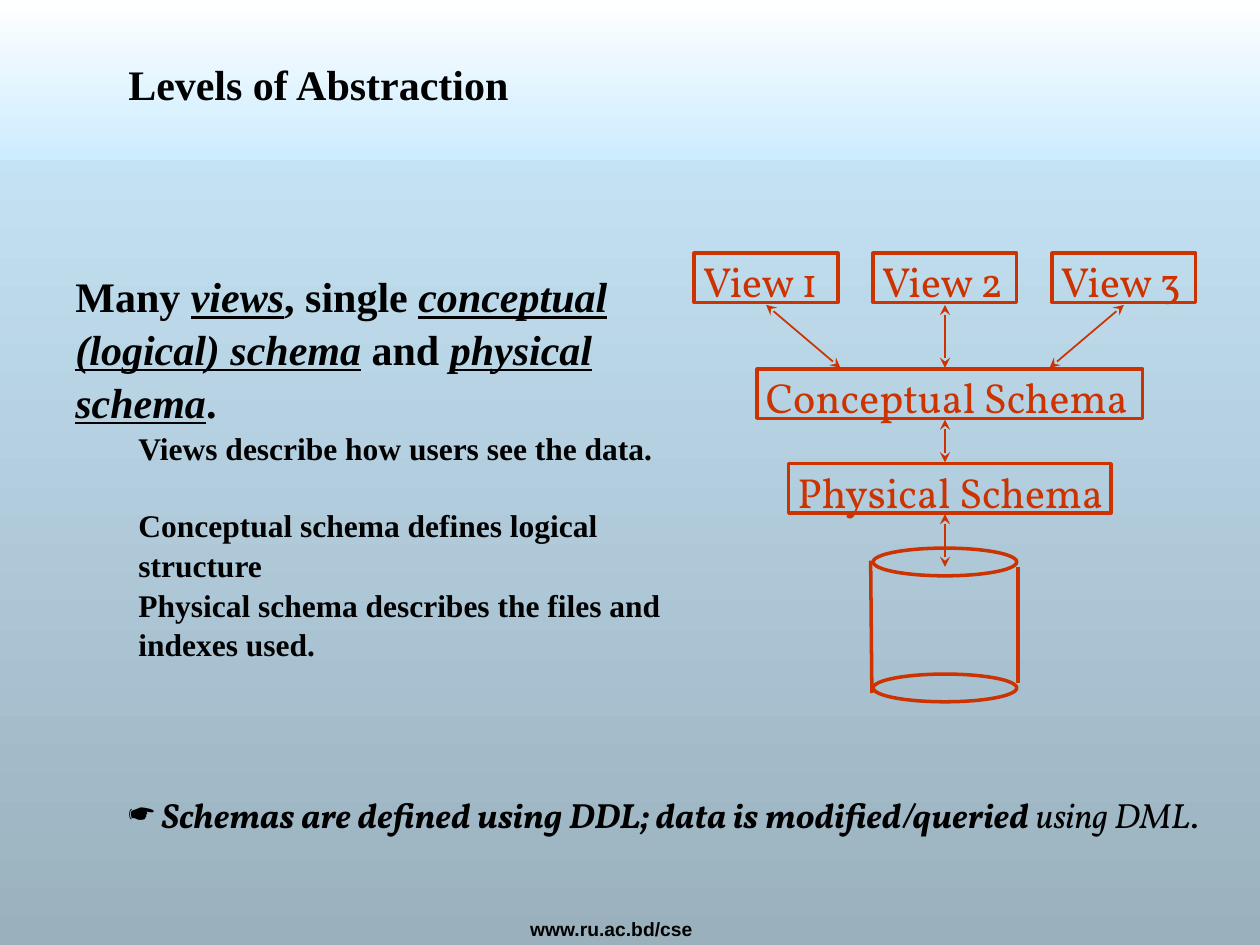
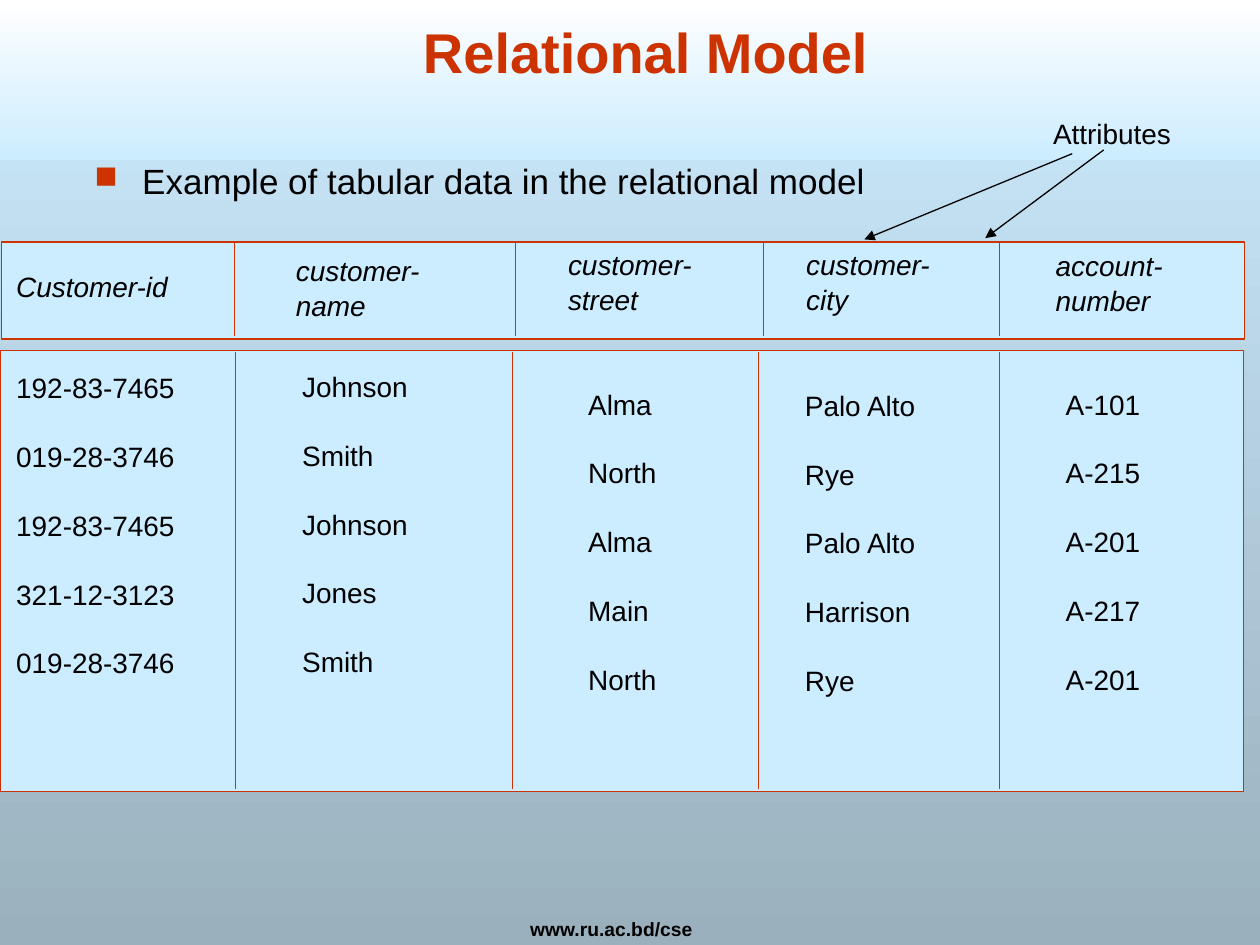
import pptx
import pptx.util
import pptx.dml.color
import pptx.enum.shapes
import pptx.enum.text
import pptx.oxml
import pptx.oxml.ns

Inches, Pt = pptx.util.Inches, pptx.util.Pt
SHAPE = pptx.enum.shapes.MSO_SHAPE
ALIGN = pptx.enum.text.PP_ALIGN
ANCHOR = pptx.enum.text.MSO_ANCHOR

HUE = {"red": "CC3300", "black": "000000", "white": "FFFFFF",
       "sky": "CCECFF", "steel": "9AB0BD"}
SANS, SERIF, BOOK = "Arial", "Times New Roman", "Vollkorn"
SITE = "www.ru.ac.bd/cse"

# Slide 1: text runs are (words, style), where b, i and u switch on a style
LEAD = [("Many ", "b"), ("views", "biu"), (", single ", "b"),
        ("conceptual (logical) schema", "biu"), (" and ", "b"),
        ("physical schema", "biu"), (".", "b")]
# (words, space after)
POINTS = [("Views describe how users see the data.", 21.7),
          ("Conceptual schema defines logical structure", 0),
          ("Physical schema describes the files and indexes used.", 0)]
NOTE = [(" ", "i"), ("Schemas are defined using DDL; data is modified/queried", "bi"),
        (" using DML", "i"), (".", "")]
VIEWS = ["View 1", "View 2", "View 3"]
MID = 7.5
# (name, top, width)
SCHEMAS = [("Conceptual Schema", 2.93, 3.06), ("Physical Schema", 3.68, 2.56)]
ARROWS = [(6.08, 2.42, 6.67, 2.92), (MID, 2.42, MID, 2.92), (8.92, 2.42, 8.33, 2.92),
          (MID, 3.33, MID, 3.67), (MID, 4.08, MID, 4.5)]
DISK_LIDS = [4.35, 5.35]
DISK_SIDES = [(6.91, 4.45, 6.92, 5.5), (8.08, 4.5, 8.08, 5.42)]

# Slide 2: (heading lines, left, top, width), (values, left, top, width)
HEADS = [(["Customer-id"], 0.03, 2.08, 1.69),
         (["customer-", "name"], 2.25, 1.95, 1.42),
         (["customer-", "street"], 4.41, 1.9, 1.42),
         (["customer-", "city"], 6.3, 1.9, 1.42),
         (["account-", "number"], 8.28, 1.91, 1.27)]
COLUMNS = [
    (["192-83-7465", "019-28-3746", "192-83-7465", "321-12-3123", "019-28-3746"],
     0.03, 2.88, 1.75),
    (["Johnson", "Smith", "Johnson", "Jones", "Smith"], 2.3, 2.87, 1.25),
    (["Alma", "North", "Alma", "Main", "North"], 4.57, 3.01, 0.89),
    (["Palo Alto", "Rye", "Palo Alto", "Harrison", "Rye"], 6.29, 3.02, 1.31),
    (["A-101", "A-215", "A-201", "A-217", "A-201"], 8.36, 3.01, 0.95)]
# (left, top, width, height), x of each rule
PANELS = [((0.01, 1.92, 9.87, 0.77), [1.86, 4.09, 6.06, 7.93]),
          ((0, 2.78, 9.87, 3.5), [1.87, 4.07, 6.02, 7.93])]
POINTERS = [(8.76, 1.19, 7.82, 1.89), (8.51, 1.22, 6.86, 1.9)]


def rgb(name):
    return pptx.dml.color.RGBColor.from_string(HUE[name])


def fade(fill, top, bottom):
    """Fill from top to bottom with two colours."""
    fill.gradient()
    fill.gradient_angle = 270
    for stop, name in zip(fill.gradient_stops, (top, bottom)):
        stop.color.rgb = rgb(name)


def add_node(parent, tag, **attrs):
    node = pptx.oxml.parse_xml(f"<a:{tag} {pptx.oxml.ns.nsdecls('a')}/>")
    for key, value in attrs.items():
        node.set(key, value)
    parent.append(node)
    return node


def add_form(slide, kind, box, fill=None, width=2):
    form = slide.shapes.add_shape(kind, *map(Inches, box))
    form.shadow.inherit = False
    if fill:
        form.fill.solid()
        form.fill.fore_color.rgb = rgb(fill)
    else:
        form.fill.background()
    form.line.color.rgb = rgb("red")
    form.line.width = Pt(width)
    return form


def add_line(slide, ends, width, hue="red", head=None, tail=None):
    line = slide.shapes.add_connector(
        pptx.enum.shapes.MSO_CONNECTOR.STRAIGHT, *map(Inches, ends))
    line.line.color.rgb = rgb(hue)
    line.line.width = Pt(width)
    for tag, kind in (("headEnd", head), ("tailEnd", tail)):
        if kind:
            add_node(line.line._get_or_add_ln(), tag, type=kind)
    add_node(line._element.spPr, "effectLst")


def add_box(slide, box, anchor=ANCHOR.TOP):
    frame = slide.shapes.add_textbox(*map(Inches, box)).text_frame
    frame.word_wrap = True
    frame.vertical_anchor = anchor
    return frame


def set_font(para, face, size, hue="black", bold=None, italic=None):
    font = para.font
    font.name, font.size, font.color.rgb = face, Pt(size), rgb(hue)
    font.bold, font.italic = bold, italic


def add_runs(para, runs):
    for words, style in runs:
        run = para.add_run()
        run.text = words
        run.font.bold = "b" in style
        run.font.italic = "i" in style
        run.font.underline = "u" in style


def add_bullet(para, sign, hang=0, hue=None, size=None):
    props = para._p.get_or_add_pPr()
    props.set("marL", str(Inches(hang)))
    props.set("indent", str(-Inches(hang)))
    if hue:
        add_node(add_node(props, "buClr"), "srgbClr", val=HUE[hue])
    if size:
        add_node(props, "buSzPct", val=str(size * 1000))
    add_node(props, "buChar", char=sign)


def add_text(slide, box, lines, face, size, hue="black", bold=None, italic=None,
             gap=0, spread=None, align=None, anchor=ANCHOR.TOP):
    """Add lines of one style, with a gap after all but the last."""
    frame = add_box(slide, box, anchor)
    for i, words in enumerate(lines):
        para = frame.add_paragraph() if i else frame.paragraphs[0]
        para.text = words
        para.alignment = align
        para.line_spacing = spread
        if gap and i < len(lines) - 1:
            para.space_after = Pt(gap)
        set_font(para, face, size, hue, bold, italic)
    return frame


def add_page(deck):
    """Add a slide with the shared background, band and footer."""
    slide = deck.slides.add_slide(deck.slide_layouts[6])
    fade(slide.background.fill, "sky", "steel")
    band = add_form(slide, SHAPE.RECTANGLE, (0, 0, 10, 1.27))
    band.line.fill.background()
    fade(band.fill, "white", "sky")
    add_text(slide, (4.11, 7.23, 1.5, 0.28), [SITE], SANS, 11, bold=True)
    return slide


def add_label(slide, name, left, top, width):
    """Add a framed schema name."""
    add_text(slide, (left - 0.03, top - 0.03, width + 0.08, 0.5), [name],
             BOOK, 24, "red")
    add_form(slide, SHAPE.RECTANGLE, (left, top, width, 0.39))


def draw_levels(deck):
    slide = add_page(deck)
    add_text(slide, (0.92, 0.06, 8.5, 1.21), ["Levels of Abstraction"], SERIF, 24,
             bold=True, anchor=ANCHOR.MIDDLE)

    frame = add_box(slide, (0.5, 2.08, 5.08, 4.46))
    lead = frame.paragraphs[0]
    lead.line_spacing = 1.05
    add_runs(lead, LEAD)
    set_font(lead, SERIF, 24)
    for words, after in POINTS:
        para = frame.add_paragraph()
        para.text = words
        para.level = 1
        para.line_spacing = 1.05
        para.space_after = Pt(after)
        props = para._p.get_or_add_pPr()
        props.set("marL", str(Inches(0.5)))
        props.set("indent", "0")
        set_font(para, SERIF, 18, bold=True)

    note = add_box(slide, (0.92, 6.25, 9.08, 0.43)).paragraphs[0]
    add_bullet(note, "☛")
    add_runs(note, NOTE)
    set_font(note, BOOK, 20)

    for top in DISK_LIDS:
        add_form(slide, SHAPE.OVAL, (6.93, top, 1.14, 0.22))
    for ends in DISK_SIDES:
        add_line(slide, ends, 2)
    for i, name in enumerate(VIEWS):
        add_label(slide, name, 5.51 + 1.42 * i, 2.01, 1.14)
    for name, top, width in SCHEMAS:
        add_label(slide, name, MID + 0.04 - width / 2, top, width)
    for ends in ARROWS:
        add_line(slide, ends, 1, head="stealth", tail="stealth")


def draw_model(deck):
    slide = add_page(deck)
    add_text(slide, (0.71, 0.05, 8.83, 0.67), ["Relational Model"], SANS, 32, "red",
             bold=True, align=ALIGN.CENTER, anchor=ANCHOR.BOTTOM)
    lead = add_box(slide, (0.65, 1.22, 8.58, 0.74)).paragraphs[0]
    lead.text = "Example of tabular data in the relational model"
    add_bullet(lead, "■", 0.38, "red", 90)
    set_font(lead, SANS, 20)

    for box, rules in PANELS:
        add_form(slide, SHAPE.RECTANGLE, box, "sky", 0.75)
        top, height = box[1], box[3]
        for x in rules:
            add_line(slide, (x, top + 0.01, x, top + height - 0.02), 0.75)
    for lines, left, top, width in HEADS:
        add_text(slide, (left, top, width, 0.7), lines, SANS, 16, italic=True,
                 spread=1.05)
    for values, left, top, width in COLUMNS:
        add_text(slide, (left, top, width, 3.19), values, SANS, 16, gap=19.2,
                 spread=1.05)

    add_text(slide, (8.26, 0.88, 1.14, 0.37), ["Attributes"], SANS, 16)
    for ends in POINTERS:
        add_line(slide, ends, 0.75, "black", tail="triangle")


def main():
    deck = pptx.Presentation()
    deck.slide_width, deck.slide_height = Inches(10), Inches(7.5)
    draw_levels(deck)
    draw_model(deck)
    deck.save("out.pptx")


if __name__ == "__main__":
    main()
